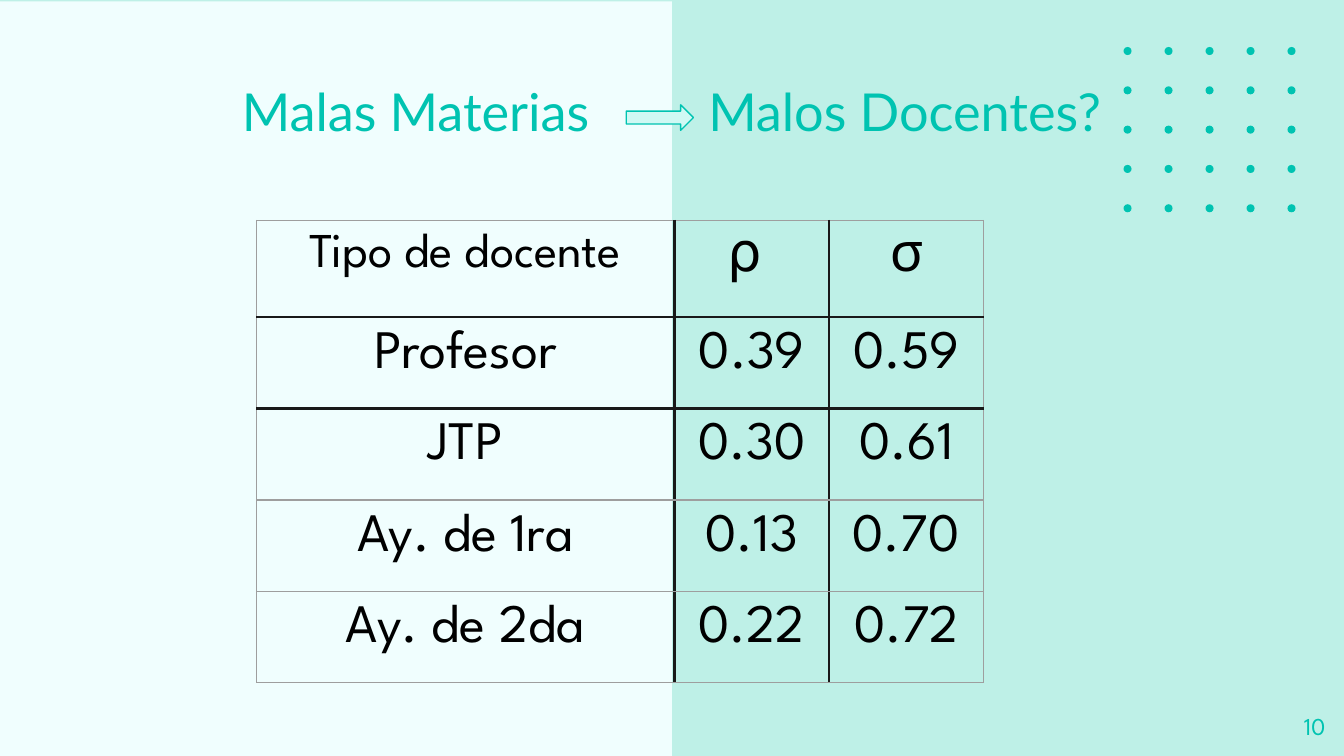
from lxml import etree
from pptx import Presentation
from pptx import util as u
from pptx.dml.color import RGBColor
from pptx.enum import shapes, text
from pptx.oxml import ns

TEAL, MINT, PALE, ARROW_FILL = "00C3B1", "BEF0E7", "F0FEFE", "D0F9F4"
BLACK, DARK, GREY = "000000", "191919", "9E9E9E"
WIDTH = 10
HEIGHT = WIDTH * 9 / 16
ROWS = [
    ("Tipo de docente", "⍴ ", "σ"),
    ("Profesor", "0.39", "0.59"),
    ("JTP", "0.30", "0.61"),
    ("Ay. de 1ra", "0.13", "0.70"),
    ("Ay. de 2da", "0.22", "0.72"),
]


def color(value):
    """Turn a hex string into a colour."""
    return RGBColor.from_string(value)


class SlideBuilder:
    """Hold the style and the current slide, and add elements to it."""

    title_font = "Lato"
    body_font = "League Spartan"

    def __init__(self, presentation):
        """Add a title-only slide with a mint background."""
        self.slide = presentation.slides.add_slide(presentation.slide_layouts[5])
        fill = self.slide.background.fill
        fill.solid()
        fill.fore_color.rgb = color(MINT)

    def format_text(self, frame, content, font, size, value, align):
        """Write one paragraph and format it."""
        frame.text = content
        paragraph = frame.paragraphs[0]
        paragraph.alignment = align
        for run in paragraph.runs:
            run.font.name = font
            run.font.size = u.Pt(size)
            run.font.color.rgb = color(value)
        return paragraph

    def format_frame(self, frame, left=0.1):
        """Set wrapping, anchor and margins of a text frame."""
        frame.word_wrap = True
        frame.auto_size = text.MSO_AUTO_SIZE.NONE
        frame.vertical_anchor = text.MSO_ANCHOR.TOP
        frame.margin_left = u.Inches(left)
        frame.margin_top = frame.margin_right = frame.margin_bottom = u.Inches(0.1)

    def shape(self, kind, left, top, width, height, fill, line=None):
        """Add a filled preset shape, outlined if a line colour is given."""
        shape = self.slide.shapes.add_shape(kind, *map(u.Inches, (left, top, width, height)))
        shape.shadow.inherit = False
        shape.fill.solid()
        shape.fill.fore_color.rgb = color(fill)
        if line:
            shape.line.color.rgb = color(line)
            shape.line.width = u.Pt(0.75)
        else:
            shape.line.fill.background()

    def dot_grid(self, left, top, right, bottom, count, size):
        """Spread a square grid of dots between the first and last positions."""
        step_x = (right - left) / (count - 1)
        step_y = (bottom - top) / (count - 1)
        for column in range(count):
            for row in range(count):
                self.shape(shapes.MSO_SHAPE.OVAL, left + column * step_x,
                           top + row * step_y, size, size, TEAL)

    def title(self, before, after, left, top, width, height, indent, tab):
        """Place the title, with its two halves parted by a tab stop."""
        title = self.slide.shapes.title
        title.left, title.top, title.width, title.height = map(u.Inches, (left, top, width, height))
        self.slide.shapes.element.append(title.element)
        self.format_frame(title.text_frame, indent)
        paragraph = self.format_text(title.text_frame, f"{before}\t{after}", self.title_font,
                                     28, TEAL, text.PP_ALIGN.LEFT)
        properties = paragraph._p.get_or_add_pPr()
        tabs = etree.SubElement(properties, ns.qn("a:tabLst"))
        etree.SubElement(tabs, ns.qn("a:tab"), pos=str(u.Inches(tab)), algn="l")

    def text_box(self, content, left, top, width, height):
        """Add a right-aligned text box."""
        box = self.slide.shapes.add_textbox(*map(u.Inches, (left, top, width, height)))
        self.format_frame(box.text_frame)
        self.format_text(box.text_frame, content, self.body_font, 13, TEAL, text.PP_ALIGN.RIGHT)

    def borders(self, cell, dark_sides):
        """Draw the cell borders, heavier on the dark sides."""
        properties = cell._tc.get_or_add_tcPr()
        for index, side in enumerate("LRTB"):
            width, value = (1.5, DARK) if side in dark_sides else (0.75, GREY)
            line = etree.Element(ns.qn(f"a:ln{side}"), w=str(u.Pt(width)))
            fill = etree.SubElement(line, ns.qn("a:solidFill"))
            etree.SubElement(fill, ns.qn("a:srgbClr"), val=value)
            properties.insert(index, line)

    def table(self, rows, left, top, widths, heights):
        """Add a centred table with dark inner columns and two dark rules."""
        frame = self.slide.shapes.add_table(
            len(rows), len(widths),
            *map(u.Inches, (left, top, sum(widths), sum(heights))))
        table = frame.table
        table.first_row = table.horz_banding = False
        for column, width in zip(table.columns, widths):
            column.width = u.Inches(width)
        for row, height in zip(table.rows, heights):
            row.height = u.Inches(height)
        for i, row in enumerate(rows):
            for j, content in enumerate(row):
                cell = table.cell(i, j)
                cell.fill.background()
                cell.margin_left = cell.margin_right = u.Inches(0.1)
                cell.margin_top = cell.margin_bottom = u.Inches(0.1)
                self.format_text(cell.text_frame, content, self.body_font,
                                 26 if i == j == 0 else 29, BLACK, text.PP_ALIGN.CENTER)
                sides = {"L": j > 0, "R": j < len(widths) - 1, "T": i in (1, 2), "B": i < 2}
                self.borders(cell, [side for side, dark in sides.items() if dark])


def main():
    """Build and save the slide."""
    presentation = Presentation()
    presentation.slide_width = u.Inches(WIDTH)
    presentation.slide_height = u.Inches(HEIGHT)
    builder = SlideBuilder(presentation)
    builder.shape(shapes.MSO_SHAPE.RECTANGLE, 0, 0.01, WIDTH / 2, 5.62, PALE)
    builder.dot_grid(8.36, 0.35, 9.58, 1.52, 5, 0.06)
    builder.title("Malas Materias", "Malos Docentes?", 0.79, 0.49, 8.43, 0.63, 1.01, 3.47)
    builder.shape(shapes.MSO_SHAPE.RIGHT_ARROW, 4.66, 0.78, 0.5, 0.19, ARROW_FILL, TEAL)
    builder.table(ROWS, 1.91, 1.64, [3.11, 1.15, 1.15], [0.72] + [0.68] * 4)
    builder.text_box("10", 9.36, 5.19, 0.6, 0.43)
    presentation.save("out.pptx")


if __name__ == "__main__":
    main()
